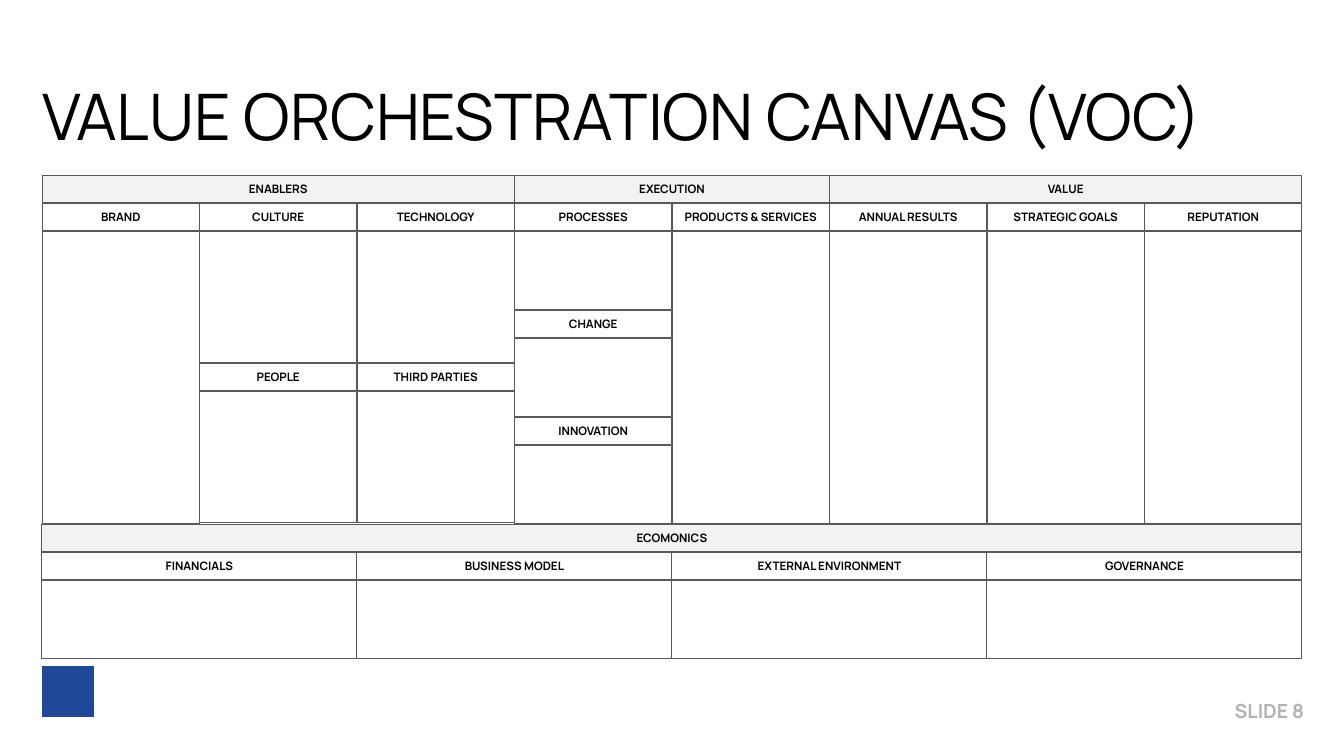
from pptx import Presentation
from pptx import util as u
from pptx.dml.color import RGBColor
from pptx.enum import shapes, text

COLOURS = {"ink": "000000", "muted": "B3B3B3", "line": "595959",
           "white": "FFFFFF", "band": "F2F2F2", "badge": "204898"}
SCALE = 9144
LEFT, COLUMN, HEADER, PITCH = 60, 225, 39, 40
BANDS, HEADINGS, BODY_HEIGHT = 250, 290, 418
ECONOMICS, BOTTOM_HEIGHT = 749, 112

GROUPS = [("ENABLERS", 0, 3), ("EXECUTION", 3, 2), ("VALUE", 5, 3)]
COLUMNS = [["BRAND"], ["CULTURE", "PEOPLE"], ["TECHNOLOGY", "THIRD PARTIES"],
           ["PROCESSES", "CHANGE", "INNOVATION"], ["PRODUCTS & SERVICES"],
           ["ANNUAL RESULTS"], ["STRATEGIC GOALS"], ["REPUTATION"]]
FOUNDATIONS = ["FINANCIALS", "BUSINESS MODEL", "EXTERNAL ENVIRONMENT", "GOVERNANCE"]


def px(value):
    return u.Emu(value * SCALE)


class Canvas:
    font = "Manrope"

    def __init__(self, deck):
        self.page = deck.slides.add_slide(deck.slide_layouts[5])

    def set_text(self, shape, words, size, align, colour="ink", bold=False, inset=4):
        frame = shape.text_frame
        frame.word_wrap = True
        frame.auto_size = text.MSO_AUTO_SIZE.NONE
        frame.vertical_anchor = text.MSO_ANCHOR.MIDDLE
        frame.margin_left = frame.margin_right = px(inset)
        frame.margin_top = frame.margin_bottom = px(min(inset, 4))
        para = frame.paragraphs[0]
        para.text = words
        para.alignment = align
        para.font.name = self.font
        para.font.size = u.Pt(size)
        para.font.bold = bold
        para.font.color.rgb = RGBColor.from_string(COLOURS[colour])

    def title(self, words, left, top, width, height):
        title = self.page.shapes.title
        title.left, title.top = px(left), px(top)
        title.width, title.height = px(width), px(height)
        self.set_text(title, words, 66, text.PP_ALIGN.LEFT, inset=0)

    def label(self, words, left, top, width, height):
        box = self.page.shapes.add_textbox(px(left), px(top), px(width), px(height))
        self.set_text(box, words, 20, text.PP_ALIGN.RIGHT, "muted", True, 10)

    def box(self, left, top, width, height, fill="white", line="line"):
        box = self.page.shapes.add_shape(shapes.MSO_SHAPE.RECTANGLE,
                                         px(left), px(top), px(width), px(height))
        box.shadow.inherit = False
        box.fill.solid()
        box.fill.fore_color.rgb = RGBColor.from_string(COLOURS[fill])
        box.line.color.rgb = RGBColor.from_string(COLOURS[line])
        box.line.width = u.Pt(1)
        return box

    def header(self, words, left, top, width, fill="white"):
        box = self.box(left, top, width, HEADER, fill)
        self.set_text(box, words, 12, text.PP_ALIGN.CENTER, bold=True)

    def column(self, names, left):
        count = len(names)
        height = (BODY_HEIGHT - (count - 1) * (PITCH + 1)) // count
        for row, name in enumerate(names):
            top = HEADINGS + row * (height + PITCH + 1)
            self.box(left, top + PITCH, COLUMN, height)
            self.header(name, left, top, COLUMN)


def main():
    deck = Presentation()
    deck.slide_width, deck.slide_height = px(1920), px(1080)
    canvas = Canvas(deck)
    canvas.title("VALUE ORCHESTRATION CANVAS (VOC)", LEFT, 85, 1800, 157)

    for index, names in enumerate(COLUMNS):
        canvas.column(names, LEFT + index * COLUMN)
    for name, start, span in GROUPS:
        canvas.header(name, LEFT + start * COLUMN, BANDS, span * COLUMN, "band")

    canvas.header("ECOMONICS", LEFT, ECONOMICS, len(COLUMNS) * COLUMN, "band")
    for index, name in enumerate(FOUNDATIONS):
        left = LEFT + index * 2 * COLUMN
        canvas.header(name, left, ECONOMICS + PITCH, 2 * COLUMN)
        canvas.box(left, ECONOMICS + 2 * PITCH, 2 * COLUMN, BOTTOM_HEIGHT)

    canvas.box(61, 952, 73, 71, "badge", "badge")
    canvas.label("SLIDE 8", 1693, 993, 180, 44)
    deck.save("out.pptx")


if __name__ == "__main__":
    main()
